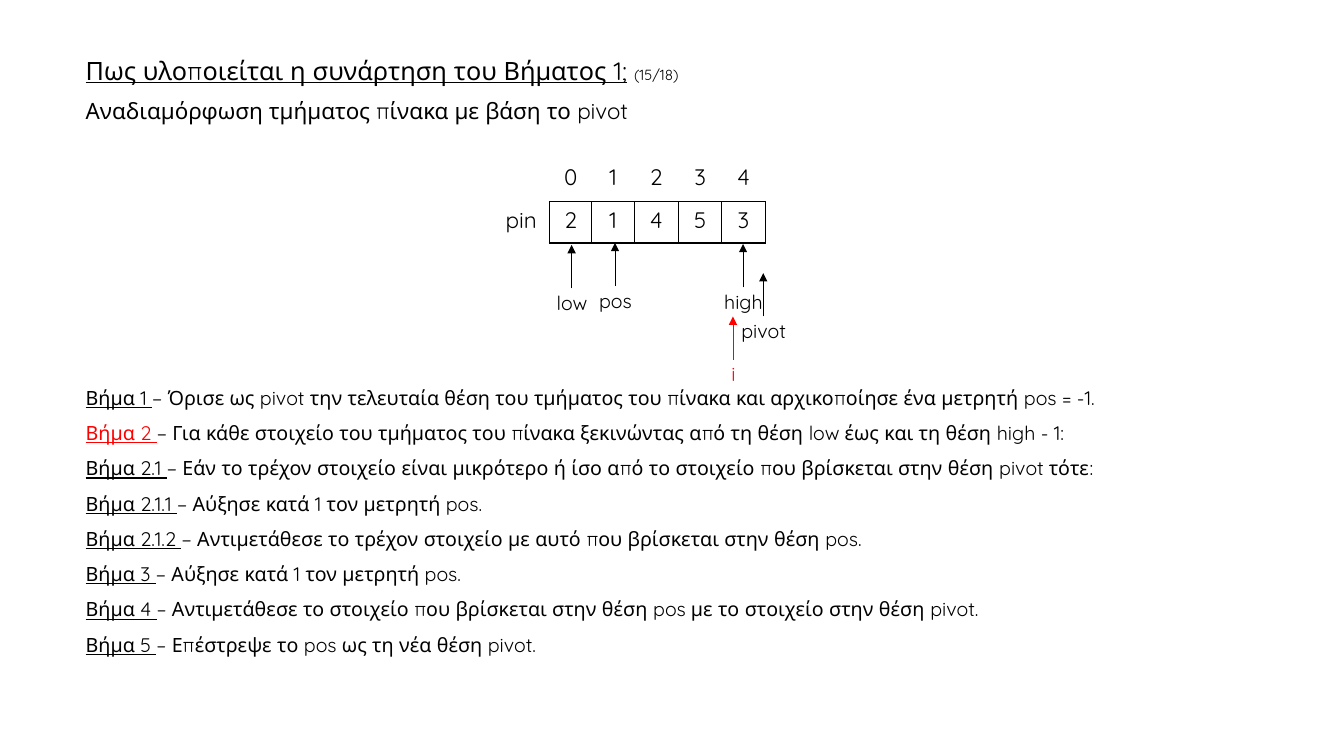
"""Build the slide on rearranging an array segment around the pivot."""
from lxml.etree import SubElement, fromstring
from pptx import Presentation
from pptx.dml.color import RGBColor
from pptx.enum.shapes import MSO_CONNECTOR
from pptx.enum.text import MSO_ANCHOR, MSO_AUTO_SIZE, PP_ALIGN
from pptx.oxml.ns import nsdecls, qn
from pptx.util import Inches, Pt

BLACK = RGBColor(0, 0, 0)
RED = RGBColor(255, 0, 0)
FONT = "Quicksand"

STEPS = [
    ("Βήμα 1 ", "− Όρισε ως pivot την τελευταία θέση του τμήματος του πίνακα και "
                "αρχικοποίησε ένα μετρητή pos = -1.", BLACK),
    ("Βήμα 2 ", "− Για κάθε στοιχείο του τμήματος του πίνακα ξεκινώντας από τη θέση "
                "low έως και τη θέση high - 1:", RED),
    ("Βήμα 2.1 ", "− Εάν το τρέχον στοιχείο είναι μικρότερο ή ίσο από το στοιχείο "
                  "που βρίσκεται στην θέση pivot τότε:", BLACK),
    ("Βήμα 2.1.1 ", "− Αύξησε κατά 1 τον μετρητή pos.", BLACK),
    ("Βήμα 2.1.2 ", "− Αντιμετάθεσε το τρέχον στοιχείο με αυτό που βρίσκεται στην "
                    "θέση pos.", BLACK),
    ("Βήμα 3 ", "− Αύξησε κατά 1 τον μετρητή pos.", BLACK),
    ("Βήμα 4 ", "– Αντιμετάθεσε το στοιχείο που βρίσκεται στην θέση pos με το "
                "στοιχείο στην θέση pivot.", BLACK),
    ("Βήμα 5 ", "– Επέστρεψε το pos ως τη νέα θέση pivot.", BLACK),
]
POINTERS = [
    ("high", 7.01, 2.85, BLACK),
    ("pivot", 7.21, 3.14, BLACK),
    ("low", 5.31, 2.86, BLACK),
    ("pos", 5.74, 2.84, BLACK),
    ("i", 6.91, 3.57, RED),
]
ARRAY_ROWS = [["", "0", "1", "2", "3", "4"], ["pin", "2", "1", "4", "5", "3"]]
COLUMN_WIDTHS = [0.56, 0.42, 0.42, 0.44, 0.43, 0.43]
ROW_HEIGHTS = [0.43, 0.41]
PLAIN_TABLE_STYLE = "{2D5ABB26-0587-4C30-8999-92F81FD0307C}"


def add_run(paragraph, text, size, color=BLACK, underline=False):
    run = paragraph.add_run()
    run.text = text
    font_format = {"name": FONT, "size": Pt(size), "underline": underline}
    for attribute, value in font_format.items():
        setattr(run.font, attribute, value)
    run.font.color.rgb = color


def place(shape, left, top, width, height, anchor):
    box_format = {"left": left, "top": top, "width": width, "height": height}
    for attribute, value in box_format.items():
        setattr(shape, attribute, Inches(value))
    frame_format = {"word_wrap": True, "auto_size": MSO_AUTO_SIZE.NONE,
                    "vertical_anchor": anchor}
    for attribute, value in frame_format.items():
        setattr(shape.text_frame, attribute, value)


presentation = Presentation()
presentation.slide_width = Inches(13.33)
presentation.slide_height = Inches(7.5)
slide = presentation.slides.add_slide(presentation.slide_layouts[1])

heading = slide.shapes.title
place(heading, 0.75, 0.52, 10.79, 0.77, MSO_ANCHOR.MIDDLE)
question = heading.text_frame.paragraphs[0]
add_run(question, "Πως υλοποιείται η συνάρτηση του Βήματος 1;", 18, underline=True)
add_run(question, " ", 18)
add_run(question, "(15/18)", 10.5)
subject = heading.text_frame.add_paragraph()
add_run(subject, "Αναδιαμόρφωση τμήματος πίνακα με βάση το pivot", 16)
for line, space in ((question, 0), (subject, 10)):
    line_format = {"alignment": PP_ALIGN.LEFT, "line_spacing": 0.9,
                   "space_before": Pt(space)}
    for attribute, value in line_format.items():
        setattr(line, attribute, value)

algorithm = slide.placeholders[1]
place(algorithm, 0.75, 3.66, 12.35, 2.88, MSO_ANCHOR.TOP)
for number, (step_name, action, step_color) in enumerate(STEPS):
    frame = algorithm.text_frame
    step = frame.add_paragraph() if number else frame.paragraphs[0]
    step_properties = step._p.get_or_add_pPr()
    step_properties.set("marL", "0")
    step_properties.set("indent", "0")
    SubElement(step_properties, qn("a:buNone"))
    step.line_spacing = 1.5
    step.space_before = Pt(0)
    add_run(step, step_name, 14, step_color, True)
    add_run(step, action, 14)

for pointer_name, left, top, pointer_color in POINTERS:
    pointer = slide.shapes.add_textbox(0, 0, 0, 0)
    place(pointer, left, top, 0.73, 0.35, MSO_ANCHOR.TOP)
    caption = pointer.text_frame.paragraphs[0]
    caption.alignment = PP_ALIGN.CENTER
    caption.line_spacing = 0.9
    add_run(caption, pointer_name, 14, pointer_color)

    arrow_x = Inches(left + 0.36)
    arrow = slide.shapes.add_connector(
        MSO_CONNECTOR.STRAIGHT, arrow_x, Inches(top), arrow_x, Inches(top - 0.43))
    arrow.line.color.rgb = pointer_color
    arrow.line.width = Pt(0.5)
    SubElement(arrow.line._get_or_add_ln(), qn("a:tailEnd"), type="triangle")
    SubElement(arrow._element.spPr, qn("a:effectLst"))

array = slide.shapes.add_table(
    len(ROW_HEIGHTS), len(COLUMN_WIDTHS), Inches(4.89), Inches(1.57),
    Inches(sum(COLUMN_WIDTHS)), Inches(sum(ROW_HEIGHTS))).table
array.first_row = False
array.horz_banding = False
array._tbl.tblPr.find(qn("a:tableStyleId")).text = PLAIN_TABLE_STYLE
for column, width in zip(array.columns, COLUMN_WIDTHS):
    column.width = Inches(width)
for row, height in zip(array.rows, ROW_HEIGHTS):
    row.height = Inches(height)

for row_index, values in enumerate(ARRAY_ROWS):
    for column_index, value in enumerate(values):
        cell = array.cell(row_index, column_index)
        cell.fill.background()
        if value:
            entry = cell.text_frame.paragraphs[0]
            entry.alignment = PP_ALIGN.CENTER
            add_run(entry, value, 16)
        if row_index and column_index:
            cell_properties = cell._tc.get_or_add_tcPr()
            for position, side in enumerate("LRTB"):
                cell_properties.insert(position, fromstring(
                    f'<a:ln{side} {nsdecls("a")} w="{Pt(1)}"><a:solidFill>'
                    f'<a:srgbClr val="{BLACK}"/></a:solidFill></a:ln{side}>'))

presentation.save("out.pptx")
